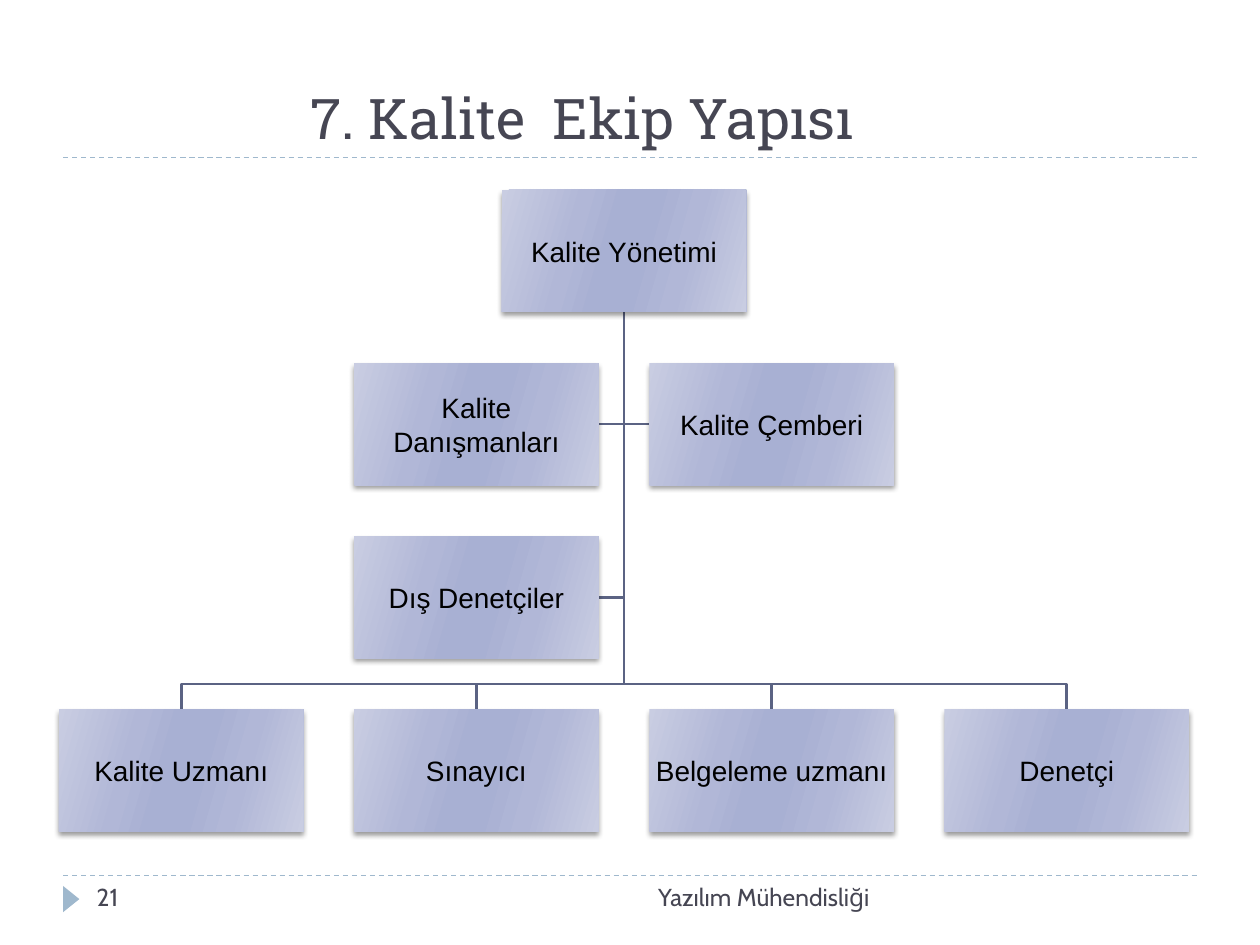
from dataclasses import dataclass

from lxml.etree import SubElement
from pptx import Presentation
from pptx.dml.color import RGBColor
from pptx.enum.dml import MSO_LINE
from pptx.enum.shapes import MSO_CONNECTOR, MSO_SHAPE as Shape
from pptx.enum.text import MSO_ANCHOR as Anchor, PP_ALIGN as Align
from pptx.oxml.ns import qn
from pptx.util import Cm, Pt

BLACK = RGBColor(0x00, 0x00, 0x00)
INK = RGBColor(0x46, 0x46, 0x53)
ACCENT = RGBColor(0x9F, 0xB8, 0xCD)
BRANCH = RGBColor(0x5B, 0x63, 0x83)
EDGE = RGBColor(0xC9, 0xCD, 0xE2)
MIDDLE = RGBColor(0xB1, 0xB7, 0xD7)
CORE = RGBColor(0xA8, 0xB0, 0xD3)
BOX_GRADIENT = [(0, EDGE), (30, MIDDLE), (45, CORE),
                (55, CORE), (73, MIDDLE), (100, EDGE)]

# Chart grid, in centimetres
GRID_LEFT, GRID_TOP = 1.19, 3.83
COLUMN_STEP, ROW_STEP = 5.95, 3.49
BOX_WIDTH, BOX_HEIGHT = 4.93, 2.46
BUS_GAP = 0.51


@dataclass(frozen=True)
class Role:
    name: str
    column: float
    row: int

    @property
    def left(self) -> float:
        return GRID_LEFT + self.column * COLUMN_STEP

    @property
    def top(self) -> float:
        return GRID_TOP + self.row * ROW_STEP

    @property
    def center(self) -> float:
        return self.left + BOX_WIDTH / 2

    @property
    def middle(self) -> float:
        return self.top + BOX_HEIGHT / 2


MANAGEMENT = Role("Kalite Yönetimi", 1.5, 0)
ADVISERS = [
    Role("Kalite Danışmanları", 1, 1),
    Role("Kalite Çemberi", 2, 1),
    Role("Dış Denetçiler", 1, 2),
]
TEAM = [Role(name, column, 3) for column, name in enumerate(
    ["Kalite Uzmanı", "Sınayıcı", "Belgeleme uzmanı", "Denetçi"])]


def write_text(frame, text: str, *, font: str, size: float, color: RGBColor,
               align=Align.LEFT, anchor=Anchor.TOP, inset: float | None = None) -> None:
    frame.word_wrap = True
    frame.vertical_anchor = anchor
    if inset is not None:
        frame.margin_left = frame.margin_right = Cm(inset)
        frame.margin_top = frame.margin_bottom = Cm(inset)
    paragraph = frame.paragraphs[0]
    paragraph.alignment = align
    run = paragraph.add_run()
    run.text = text
    run.font.name = font
    run.font.size = Pt(size)
    run.font.color.rgb = color


def draw_rule(slide, y: float) -> None:
    rule = slide.shapes.add_connector(
        MSO_CONNECTOR.STRAIGHT, Cm(1.27), Cm(y), Cm(24.13), Cm(y))
    rule.line.color.rgb = ACCENT
    rule.line.width = Pt(0.75)
    rule.line.dash_style = MSO_LINE.DASH
    SubElement(rule._element.spPr, qn("a:effectLst"))


def draw_branch(slide, points: list[tuple[float, float]]) -> None:
    start, *rest = [(Cm(x), Cm(y)) for x, y in points]
    builder = slide.shapes.build_freeform(*start)
    builder.add_line_segments(rest, close=False)
    branch = builder.convert_to_shape()
    branch.shadow.inherit = False
    branch.fill.background()
    branch.line.color.rgb = BRANCH
    branch.line.width = Pt(1.5)


def add_color(parent, color: RGBColor):
    return SubElement(parent, qn("a:srgbClr"), val=str(color))


def fill_gradient(box) -> None:
    box.fill.gradient()
    box.fill.gradient_angle = 360 - 16  # counter-clockwise
    stops = box._element.spPr.find(qn("a:gradFill")).find(qn("a:gsLst"))
    for stop in list(stops):
        stops.remove(stop)
    for position, color in BOX_GRADIENT:
        add_color(SubElement(stops, qn("a:gs"), pos=str(position * 1000)), color)


def drop_shadow(box) -> None:
    box.shadow.inherit = False
    effects = box._element.spPr.find(qn("a:effectLst"))
    shadow = SubElement(effects, qn("a:outerShdw"), blurRad=str(Pt(3)),
                        dist=str(Pt(2)), dir="5400000", rotWithShape="0")
    SubElement(add_color(shadow, BLACK), qn("a:alpha"), val="40000")


def draw_role(slide, role: Role) -> None:
    box = slide.shapes.add_shape(Shape.RECTANGLE, Cm(role.left), Cm(role.top),
                                 Cm(BOX_WIDTH), Cm(BOX_HEIGHT))
    box.line.fill.background()
    fill_gradient(box)
    drop_shadow(box)
    write_text(box.text_frame, role.name, font="Arial", size=16, color=BLACK,
               align=Align.CENTER, anchor=Anchor.MIDDLE, inset=0.03)


def draw_footer(slide, text: str, left: float, width: float, align) -> None:
    footer = slide.shapes.add_textbox(Cm(left), Cm(17.65), Cm(width), Cm(1.02))
    write_text(footer.text_frame, text, font="Cabin", size=14, color=INK, align=align)


def main() -> None:
    deck = Presentation()
    deck.slide_width, deck.slide_height = Cm(25.4), Cm(19.05)
    slide = deck.slides.add_slide(deck.slide_layouts[5])

    # Title and page frame
    title = slide.shapes.title
    title.left, title.top = Cm(1.27), Cm(0.33)
    title.width, title.height = Cm(20.96), Cm(2.84)
    write_text(title.text_frame, "7. Kalite  Ekip Yapısı", font="Roboto Slab",
               size=32, color=INK, align=Align.CENTER, anchor=Anchor.BOTTOM)
    for y in (17.65, 3.18):
        draw_rule(slide, y)
    marker = slide.shapes.add_shape(
        Shape.ISOSCELES_TRIANGLE, Cm(1.17), Cm(17.96), Cm(0.53), Cm(0.33))
    marker.rotation = 90
    marker.shadow.inherit = False
    marker.fill.solid()
    marker.fill.fore_color.rgb = ACCENT
    marker.line.fill.background()
    draw_footer(slide, "Yazılım Mühendisliği", 8.05, 9.73, Align.RIGHT)
    draw_footer(slide, "21", 1.7, 5.51, Align.LEFT)

    # Branches from the management box
    trunk = MANAGEMENT.center
    origin = (trunk, MANAGEMENT.top + BOX_HEIGHT)
    for adviser in ADVISERS:
        on_left = adviser.center < trunk
        side = adviser.left + (BOX_WIDTH if on_left else 0)
        draw_branch(slide, [origin, (trunk, adviser.middle), (side, adviser.middle)])
    for member in TEAM:
        bus = member.top - BUS_GAP
        draw_branch(slide, [origin, (trunk, bus), (member.center, bus),
                            (member.center, member.top)])

    # Role boxes
    for role in [MANAGEMENT, *TEAM, *ADVISERS]:
        draw_role(slide, role)

    deck.save("out.pptx")


if __name__ == "__main__":
    main()
